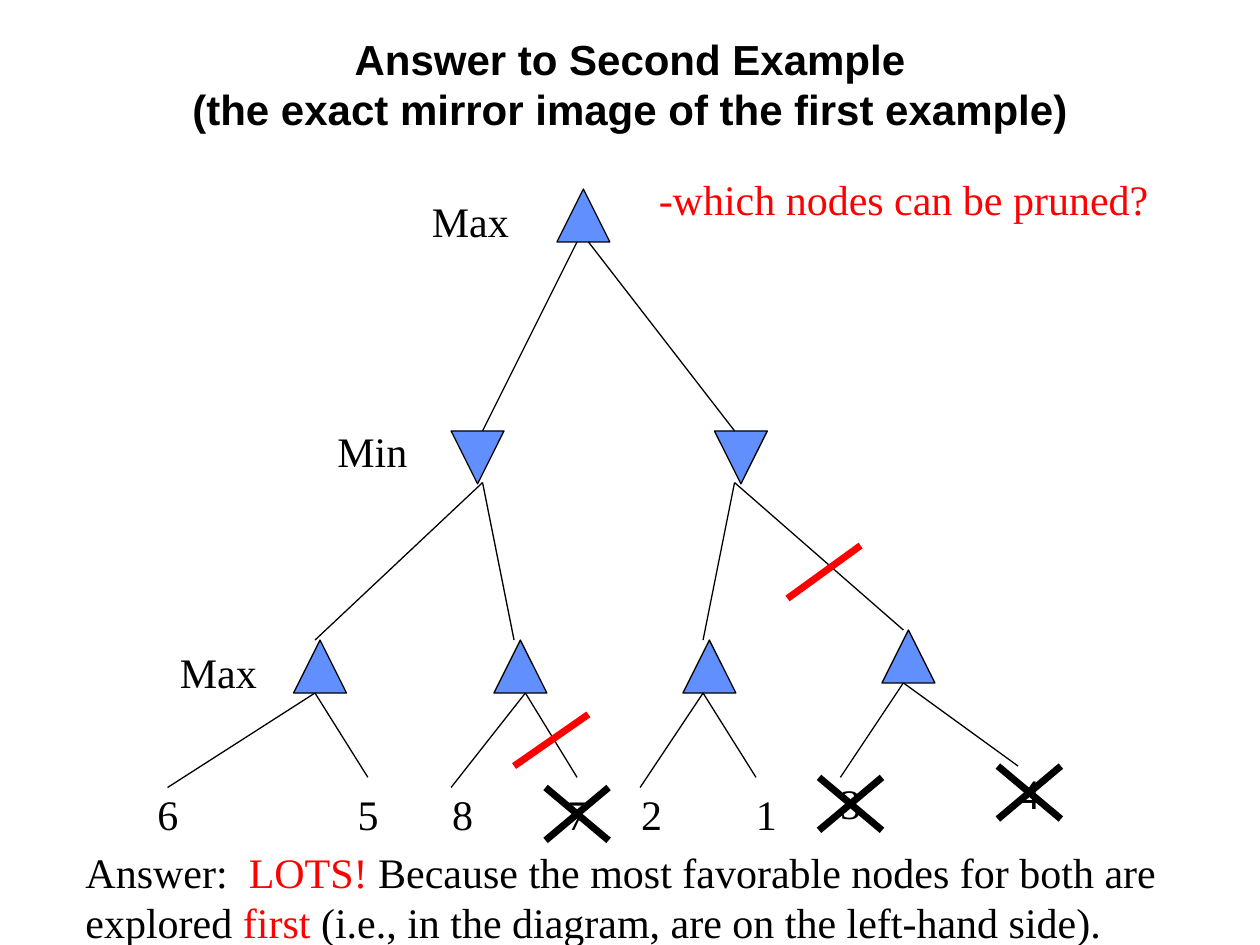
from dataclasses import dataclass

from lxml import etree
from pptx import Presentation
from pptx.dml.color import RGBColor
from pptx.enum.shapes import MSO_CONNECTOR, MSO_SHAPE
from pptx.enum.text import MSO_ANCHOR, MSO_AUTO_SIZE, PP_ALIGN
from pptx.oxml.ns import qn
from pptx.util import Inches, Pt

TRIANGLE = MSO_SHAPE.ISOSCELES_TRIANGLE
STRAIGHT = MSO_CONNECTOR.STRAIGHT
CENTER, MIDDLE = PP_ALIGN.CENTER, MSO_ANCHOR.MIDDLE
NO_AUTOFIT = MSO_AUTO_SIZE.NONE


@dataclass(frozen=True)
class Theme:
    black: RGBColor = RGBColor(0, 0, 0)
    red: RGBColor = RGBColor(0xFF, 0, 0)
    blue: RGBColor = RGBColor(0x61, 0x8F, 0xFD)
    title_font: str = "Arial"
    body_font: str = "Times New Roman"
    size: float = 24
    thin: float = 0.74
    thick: float = 4


@dataclass(frozen=True)
class Node:
    x: float
    y: float
    is_min: bool = False


@dataclass(frozen=True)
class Fan:
    """Two branches leaving one point of the tree."""
    starts: tuple
    ends: tuple


@dataclass(frozen=True)
class Label:
    text: str
    x: float
    y: float
    w: float = 0.83


THEME = Theme()
NODE_SIZE = 0.42
CROSS_W, CROSS_H = 0.5, 0.42

NODES = [
    Node(4.42, 1.5),
    Node(3.58, 3.42, True), Node(5.67, 3.42, True),
    Node(2.33, 5.08), Node(3.92, 5.08), Node(5.42, 5.08), Node(7, 5),
]
FANS = [
    Fan(((4.58, 1.92), (4.67, 1.92)), ((3.83, 3.42), (5.83, 3.42))),
    Fan(((3.83, 3.83),) * 2, ((2.5, 5.08), (4.08, 5.08))),
    Fan(((5.83, 3.83),) * 2, ((5.58, 5.08), (7.17, 5))),
    Fan(((2.5, 5.5),) * 2, ((1.33, 6.25), (2.92, 6.17))),
    Fan(((4.17, 5.5),) * 2, ((3.58, 6.25), (4.58, 6.17))),
    Fan(((5.58, 5.5),) * 2, ((5.08, 6.25), (6, 6.17))),
    Fan(((7.17, 5.42),) * 2, ((6.67, 6.17), (8.08, 6.08))),
]
LEAVES = [
    Label(text, x, y, 0.36) for text, x, y in [
        ("6", 1.15, 6.21), ("5", 2.74, 6.21), ("8", 3.49, 6.21),
        ("7", 4.4, 6.21), ("2", 4.99, 6.21), ("1", 5.9, 6.21),
        ("3", 6.57, 6.12), ("4", 7.99, 6.04),
    ]
]
LEVELS = [Label("Max", 3.33, 1.5), Label("Min", 2.58, 3.33),
          Label("Max", 1.33, 5.08)]
CUTS = [((4.67, 5.67), (4.08, 6.08)), ((6.83, 4.33), (6.25, 4.75))]
CROSSES = [(4.33, 6.25), (7.92, 6.08), (6.5, 6.17)]


def style_run(r, color: RGBColor, font: str, bold: bool = False) -> None:
    r.font.name, r.font.size = font, Pt(THEME.size)
    r.font.bold = bold
    r.font.color.rgb = color


def add_text(shapes, label: Label, parts: list, h: float = 0.5,
             wrap: bool = True) -> None:
    sp = shapes.add_textbox(Inches(label.x), Inches(label.y),
                            Inches(label.w), Inches(h))
    tf = sp.text_frame
    tf.word_wrap = wrap
    p = tf.paragraphs[0]
    for text, color in parts:
        r = p.add_run()
        r.text = text
        style_run(r, color, THEME.body_font)


def add_line(shapes, start: tuple, end: tuple, color: RGBColor,
             width: float) -> None:
    line = shapes.add_connector(STRAIGHT, *map(Inches, start + end))
    line.line.color.rgb = color
    line.line.width = Pt(width)
    etree.SubElement(line._element.spPr, qn("a:effectLst"))


def add_node(shapes, node: Node) -> None:
    side = Inches(NODE_SIZE)
    sp = shapes.add_shape(TRIANGLE, Inches(node.x), Inches(node.y), side, side)
    sp.rotation = 180 if node.is_min else 0
    sp.shadow.inherit = False
    sp.fill.solid()
    sp.fill.fore_color.rgb = THEME.blue
    sp.line.color.rgb = THEME.black
    sp.line.width = Pt(THEME.thin)


def add_cross(shapes, x: float, y: float) -> None:
    group = shapes.add_group_shape()
    right, bottom = x + CROSS_W, y + CROSS_H
    add_line(group.shapes, (x, y), (right, bottom), THEME.black, THEME.thick)
    add_line(group.shapes, (right, y), (x, bottom), THEME.black, THEME.thick)


prs = Presentation()
prs.slide_width, prs.slide_height = Inches(10), Inches(7.5)
slide = prs.slides.add_slide(prs.slide_layouts[5])
shapes = slide.shapes

# Title
title = shapes.title
title.left, title.top = Inches(0.75), Inches(0.33)
title.width, title.height = Inches(8.5), Inches(0.67)
tf = title.text_frame
tf.auto_size = NO_AUTOFIT
tf.vertical_anchor = MIDDLE
p = tf.paragraphs[0]
p.text = ("Answer to Second Example\v"
          "(the exact mirror image of the first example)")
p.alignment = CENTER
for r in p.runs:
    style_run(r, THEME.black, THEME.title_font, bold=True)

# Game tree
for node in NODES:
    add_node(shapes, node)
for fan in FANS:
    for start, end in zip(fan.starts, fan.ends):
        add_line(shapes, start, end, THEME.black, THEME.thin)

# Leaf values, question and level names
for leaf in LEAVES:
    add_text(shapes, leaf, [(leaf.text, THEME.black)], wrap=False)
question = Label("-which nodes can be pruned?", 5.13, 1.33, 4.09)
add_text(shapes, question, [(question.text, THEME.red)], h=0.9, wrap=False)
for level in LEVELS:
    add_text(shapes, level, [(level.text, THEME.black)])

# Pruned branches and leaves
for start, end in CUTS:
    add_line(shapes, start, end, THEME.red, THEME.thick)
for x, y in CROSSES:
    add_cross(shapes, x, y)

# Answer
add_text(shapes, Label("Answer", 0.58, 6.67, 8.92), [
    ("Answer:  ", THEME.black),
    ("LOTS!", THEME.red),
    (" Because the most favorable nodes for both are explored ", THEME.black),
    ("first", THEME.red),
    (" (i.e., in the diagram, are on the left-hand side).", THEME.black),
], h=0.9)

prs.save("out.pptx")
